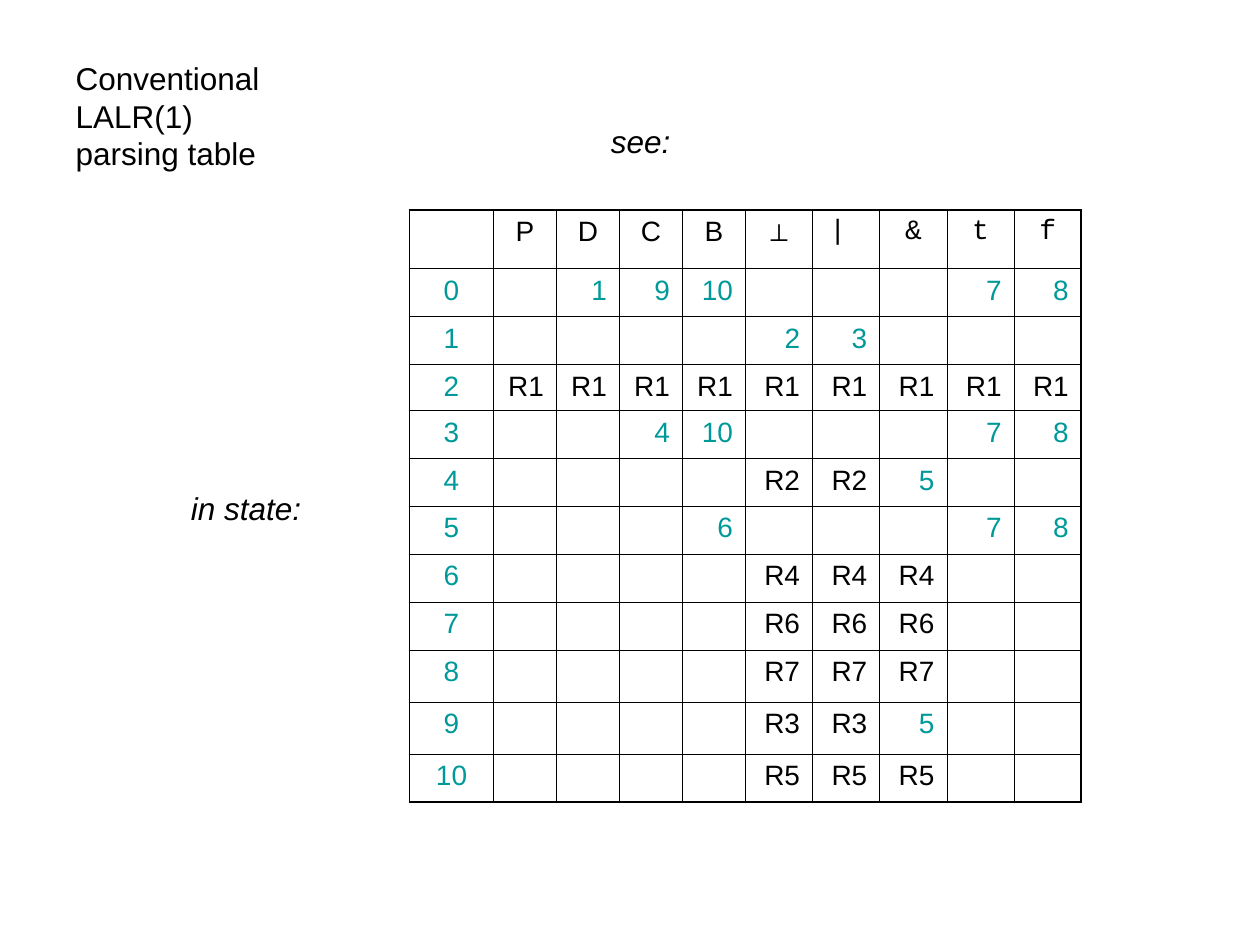
from dataclasses import dataclass

from lxml.etree import SubElement
from pptx import Presentation
from pptx.dml.color import RGBColor
from pptx.enum.text import MSO_ANCHOR, MSO_AUTO_SIZE, PP_ALIGN
from pptx.oxml.ns import qn
from pptx.util import Inches, Length, Pt

BLACK = RGBColor(0x00, 0x00, 0x00)
TEAL = RGBColor(0x00, 0x99, 0x99)
SANS, MONO = "Arial", "Courier New"
INNER_BORDER, OUTER_BORDER = Pt(0.45), Pt(1.08)
CELL_SIZE, LABEL_SIZE = Pt(16), Pt(18)

# The slide is a grid of 120 columns by 90 rows.
GRID_COLUMNS, GRID_ROWS = 120, 90
SLIDE_WIDTH, SLIDE_HEIGHT = Inches(10), Inches(7.5)

TABLE_LEFT, TABLE_TOP = 39, 20
COLUMN_WIDTHS = [8] + [6] * 4 + [6.4] * 5
ROW_HEIGHTS = [5.6] + [4.56] * 2 + [4.4] + [4.56] * 5 + [4.95] * 2 + [4.56]

SYMBOLS = ["P", "D", "C", "B", "⊥", "| ", "&", "t", "f"]
TERMINALS = SYMBOLS[5:]
# One line per state, one entry per symbol; a dot is an empty entry.
ACTIONS = [line.split() for line in (
    ".  1  9  10 .  .  .  7  8",
    ".  .  .  .  2  3  .  .  .",
    "R1 R1 R1 R1 R1 R1 R1 R1 R1",
    ".  .  4  10 .  .  .  7  8",
    ".  .  .  .  R2 R2 5  .  .",
    ".  .  .  6  .  .  .  7  8",
    ".  .  .  .  R4 R4 R4 .  .",
    ".  .  .  .  R6 R6 R6 .  .",
    ".  .  .  .  R7 R7 R7 .  .",
    ".  .  .  .  R3 R3 5  .  .",
    ".  .  .  .  R5 R5 R5 .  .",
)]


@dataclass(frozen=True)
class Label:
    """Text with its place in grid units."""
    text: str
    left: float
    top: float
    width: float
    height: float
    italic: bool = True


HEADING = Label("Conventional LALR(1) parsing table", 6, 5, 24, 12, italic=False)
AXIS_LABELS = [
    Label("in state:", 17, 46, 14, 4.8),
    Label("see:", 57, 11, 27, 4.8),
]


def across(columns: float) -> Length:
    return Length(round(SLIDE_WIDTH * columns / GRID_COLUMNS))


def down(rows: float) -> Length:
    return Length(round(SLIDE_HEIGHT * rows / GRID_ROWS))


def style_font(font, size: Length, color: RGBColor, name: str = SANS) -> None:
    font.size, font.name = size, name
    font.color.rgb = color


def fill_label(shape, label: Label) -> None:
    shape.left, shape.top = across(label.left), down(label.top)
    shape.width, shape.height = across(label.width), down(label.height)
    frame = shape.text_frame
    frame.text = label.text
    frame.word_wrap = True
    frame.auto_size = MSO_AUTO_SIZE.SHAPE_TO_FIT_TEXT
    frame.vertical_anchor = MSO_ANCHOR.TOP
    paragraph = frame.paragraphs[0]
    paragraph.alignment = PP_ALIGN.LEFT
    font = paragraph.runs[0].font
    style_font(font, LABEL_SIZE, BLACK)
    font.italic = label.italic


def set_borders(cell, row: int, column: int) -> None:
    outer_sides = {
        "a:lnL": column == 0,
        "a:lnR": column == len(SYMBOLS),
        "a:lnT": row == 0,
        "a:lnB": row == len(ACTIONS),
    }
    properties = cell._tc.get_or_add_tcPr()
    for side, outer in outer_sides.items():
        line = SubElement(properties, qn(side), w=str(OUTER_BORDER if outer else INNER_BORDER))
        fill = SubElement(line, qn("a:solidFill"))
        SubElement(fill, qn("a:srgbClr"), val=str(BLACK))


def fill_cell(cell, entry: str, alignment: PP_ALIGN, color: RGBColor, font_name: str) -> None:
    paragraph = cell.text_frame.paragraphs[0]
    if not entry:
        # The size of an empty entry keeps its row from growing.
        SubElement(paragraph._p, qn("a:endParaRPr"), sz=str(round(CELL_SIZE.pt * 100)))
        return
    paragraph.text = entry
    paragraph.alignment = alignment
    style_font(paragraph.runs[0].font, CELL_SIZE, color, font_name)


def add_parsing_table(slide) -> None:
    entries = [["", *SYMBOLS]] + [
        [str(state), *("" if action == "." else action for action in actions)]
        for state, actions in enumerate(ACTIONS)
    ]
    table = slide.shapes.add_table(
        len(entries), len(entries[0]), across(TABLE_LEFT), down(TABLE_TOP),
        across(sum(COLUMN_WIDTHS)), down(sum(ROW_HEIGHTS))).table
    table.first_row = table.horz_banding = False
    for column, width in zip(table.columns, COLUMN_WIDTHS):
        column.width = across(width)
    for row, height in zip(table.rows, ROW_HEIGHTS):
        row.height = down(height)
    for r, row_entries in enumerate(entries):
        for c, entry in enumerate(row_entries):
            cell = table.cell(r, c)
            set_borders(cell, r, c)
            cell.fill.background()
            fill_cell(
                cell, entry,
                alignment=PP_ALIGN.CENTER if r == 0 or c == 0 else PP_ALIGN.RIGHT,
                color=TEAL if entry.isdigit() else BLACK,
                font_name=MONO if r == 0 and entry in TERMINALS else SANS)


def main() -> None:
    presentation = Presentation()
    presentation.slide_width, presentation.slide_height = SLIDE_WIDTH, SLIDE_HEIGHT
    title_only = presentation.slide_layouts[5]
    slide = presentation.slides.add_slide(title_only)
    add_parsing_table(slide)
    fill_label(slide.shapes.title, HEADING)
    for label in AXIS_LABELS:
        fill_label(slide.shapes.add_textbox(0, 0, 0, 0), label)
    presentation.save("out.pptx")


if __name__ == "__main__":
    main()
